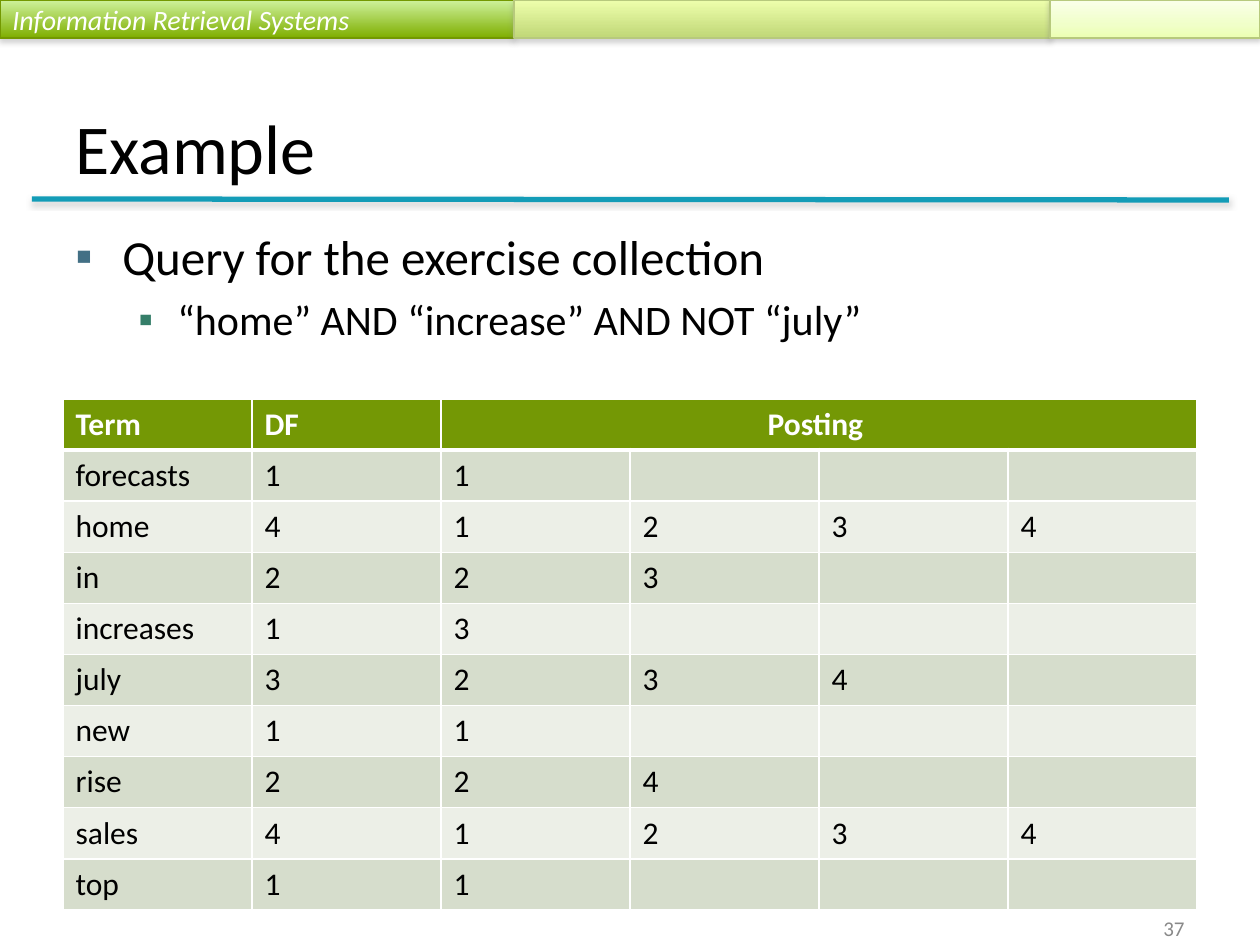
import pptx
import pptx.dml.color
import pptx.enum.shapes
import pptx.enum.text
import pptx.oxml
import pptx.oxml.ns
import pptx.util

PX = 914400 / 126
FONT = "Calibri"
RGB = pptx.dml.color.RGBColor
ALIGN = pptx.enum.text.PP_ALIGN
ANCHOR = pptx.enum.text.MSO_ANCHOR

WHITE = RGB(0xFF, 0xFF, 0xFF)
BLACK = RGB(0x00, 0x00, 0x00)
GREY = RGB(0x89, 0x89, 0x89)
SHADE = RGB(0x80, 0x80, 0x80)
TEAL = RGB(0x13, 0x9C, 0xB7)
HEADER_GREEN = RGB(0x74, 0x98, 0x05)
BAND_DARK = RGB(0xD6, 0xDD, 0xCC)
BAND_LIGHT = RGB(0xEC, 0xEF, 0xE7)
EDGE_DARK = RGB(0x73, 0x98, 0x01)
EDGE_LIGHT = RGB(0xB7, 0xC9, 0x7D)
BULLET_BLUE = RGB(0x43, 0x70, 0x85)
BULLET_GREEN = RGB(0x35, 0x7E, 0x69)

BANNER = [
    (514, [(0, RGB(0xCE, 0xF2, 0x9D)), (100, RGB(0x7F, 0xAE, 0x00))], EDGE_DARK, 35, 1.8),
    (536, [(0, RGB(0xEE, 0xFF, 0xAC)), (100, RGB(0xC0, 0xD7, 0x77))], EDGE_LIGHT, 35, 1.8),
    (210, [(0, RGB(0xFA, 0xFF, 0xE9)), (65, RGB(0xF0, 0xFF, 0xC9)),
           (100, RGB(0xEC, 0xFF, 0xB3))], EDGE_LIGHT, 38, 1.6),
]
POINTS = [
    ("Query for the exercise collection", 28, 47, 47, BULLET_BLUE),
    ("“home” AND “increase” AND NOT “july”", 24, 102, 39, BULLET_GREEN),
]
POSTINGS = {
    "forecasts": [1],
    "home": [1, 2, 3, 4],
    "in": [2, 3],
    "increases": [3],
    "july": [2, 3, 4],
    "new": [1],
    "rise": [2, 4],
    "sales": [1, 2, 3, 4],
    "top": [1],
}


def px(length):
    """Turn px into EMU."""
    return pptx.util.Emu(round(length * PX))


def xml(markup):
    """Parse one DrawingML element whose root carries the a: prefix."""
    tag, rest = markup.split(" ", 1)
    return pptx.oxml.parse_xml(f'{tag} {pptx.oxml.ns.nsdecls("a")} {rest}')


def write(paragraph, words, size, color, **formats):
    """Add a run and apply its font formats."""
    run = paragraph.add_run()
    run.text = words
    run.font.color.rgb = color
    for name, value in {"name": FONT, "size": pptx.util.Pt(size), **formats}.items():
        setattr(run.font, name, value)


def cast_shadow(properties, alpha, distance):
    """Give shape properties a soft shadow straight below."""
    for effects in properties.findall(pptx.oxml.ns.qn("a:effectLst")):
        properties.remove(effects)
    properties.append(xml(
        f'<a:effectLst ><a:outerShdw blurRad="{pptx.util.Pt(3.1)}" dist="{pptx.util.Pt(distance)}" '
        f'dir="5400000" rotWithShape="0"><a:srgbClr val="{SHADE}"><a:alpha val="{alpha * 1000}"/>'
        '</a:srgbClr></a:outerShdw></a:effectLst>'))


def add_text_frame(slide, box, anchor):
    """Add a wrapping text box and return its frame."""
    frame = slide.shapes.add_textbox(*map(px, box)).text_frame
    for name, value in {"word_wrap": True, "vertical_anchor": anchor}.items():
        setattr(frame, name, value)
    return frame


def add_banner(slide, box, course):
    """Draw the gradient segments side by side, the first one with the course name."""
    left, top, _, height = box
    for index, (width, stops, edge, alpha, distance) in enumerate(BANNER):
        segment = slide.shapes.add_shape(
            pptx.enum.shapes.MSO_SHAPE.RECTANGLE, *map(px, (left, top, width, height)))
        segment.fill.gradient()
        segment.fill.gradient_angle = 270
        properties = segment.fill._xPr
        stop_list = properties.find(".//" + pptx.oxml.ns.qn("a:gsLst"))
        for stop in list(stop_list):
            stop_list.remove(stop)
        for position, color in stops:
            stop_list.append(xml(
                f'<a:gs pos="{position * 1000}"><a:srgbClr val="{color}"/></a:gs>'))
        segment.line.color.rgb = edge
        segment.line.width = pptx.util.Pt(0.75)
        segment.shadow.inherit = False
        cast_shadow(properties, alpha, distance)
        if index == 0:
            frame = segment.text_frame
            frame.vertical_anchor = ANCHOR.MIDDLE
            frame.paragraphs[0].alignment = ALIGN.LEFT
            write(frame.paragraphs[0], course, 16, WHITE, italic=True)
        left += width


def add_heading(slide, box, heading):
    """Place the title and the rule that runs below it."""
    left, top, width, height = box
    frame = add_text_frame(slide, box, ANCHOR.BOTTOM)
    write(frame.paragraphs[0], heading, 40, BLACK)
    rule = slide.shapes.add_connector(
        pptx.enum.shapes.MSO_CONNECTOR.STRAIGHT,
        *map(px, (left - 31, top + height + 4, left + width + 32, top + height + 5)))
    rule.line.color.rgb = TEAL
    rule.line.width = pptx.util.Pt(3)
    cast_shadow(rule.line._ln.getparent(), 38, 1.6)


def add_points(slide, box):
    """Place the bulleted points, one level each."""
    frame = add_text_frame(slide, box, ANCHOR.TOP)
    for level, (words, size, margin, hang, color) in enumerate(POINTS):
        point = frame.add_paragraph() if level else frame.paragraphs[0]
        point.level = level
        point.space_before = pptx.util.Pt(size * 0.2)
        write(point, words, size, BLACK)
        properties = point._p.get_or_add_pPr()
        properties.set("marL", str(px(margin)))
        properties.set("indent", str(px(-hang)))
        properties.append(xml(f'<a:buClr ><a:srgbClr val="{color}"/></a:buClr>'))
        properties.append(xml('<a:buFont typeface="Arial"/>'))
        properties.append(xml('<a:buChar char="▪"/>'))


def add_page_number(slide, box, number):
    """Place the page number at the right of its box."""
    frame = add_text_frame(slide, box, ANCHOR.MIDDLE)
    frame.paragraphs[0].alignment = ALIGN.RIGHT
    write(frame.paragraphs[0], number, 12, GREY)


def style_cell(cell, fill, row):
    """Fill a cell and rule it in white, with a heavy line under the header."""
    properties = cell._tc.get_or_add_tcPr()
    weights = {"L": 1, "R": 1, "T": 3 if row == 1 else 1, "B": 3 if row == 0 else 1}
    for side, weight in weights.items():
        properties.append(xml(
            f'<a:ln{side} w="{pptx.util.Pt(weight)}"><a:solidFill>'
            f'<a:srgbClr val="{WHITE}"/></a:solidFill></a:ln{side}>'))
    cell.fill.solid()
    cell.fill.fore_color.rgb = fill


def add_index_table(slide, box):
    """Build the inverted index: term, document frequency and postings."""
    rows = [["Term", "DF", "Posting "]]
    rows += [[term, len(documents), *documents] for term, documents in POSTINGS.items()]
    columns = max(map(len, rows))
    index = slide.shapes.add_table(len(rows), columns, *map(px, box)).table
    index.cell(0, 2).merge(index.cell(0, columns - 1))
    for r, entries in enumerate(rows):
        fill = HEADER_GREEN if r == 0 else BAND_DARK if r % 2 else BAND_LIGHT
        for c in range(columns):
            style_cell(index.cell(r, c), fill, r)
        for c, entry in enumerate(entries):
            write(index.cell(r, c).text_frame.paragraphs[0], str(entry), 18,
                  BLACK if r else WHITE, bold=r == 0)
    index.cell(0, 2).text_frame.paragraphs[0].alignment = ALIGN.CENTER


def main():
    """Build and save the slide."""
    deck = pptx.Presentation()
    deck.slide_width, deck.slide_height = px(1260), px(945)
    slide = deck.slides.add_slide(deck.slide_layouts[6])
    add_banner(slide, (0, 0, 1260, 38), "Information Retrieval Systems")
    add_heading(slide, (63, 38, 1134, 157), "Example")
    add_points(slide, (63, 220, 1134, 170))
    add_index_table(slide, (63, 399, 1134, 511))
    add_page_number(slide, (903, 911, 294, 34), "37")
    deck.save("out.pptx")


if __name__ == "__main__":
    main()
